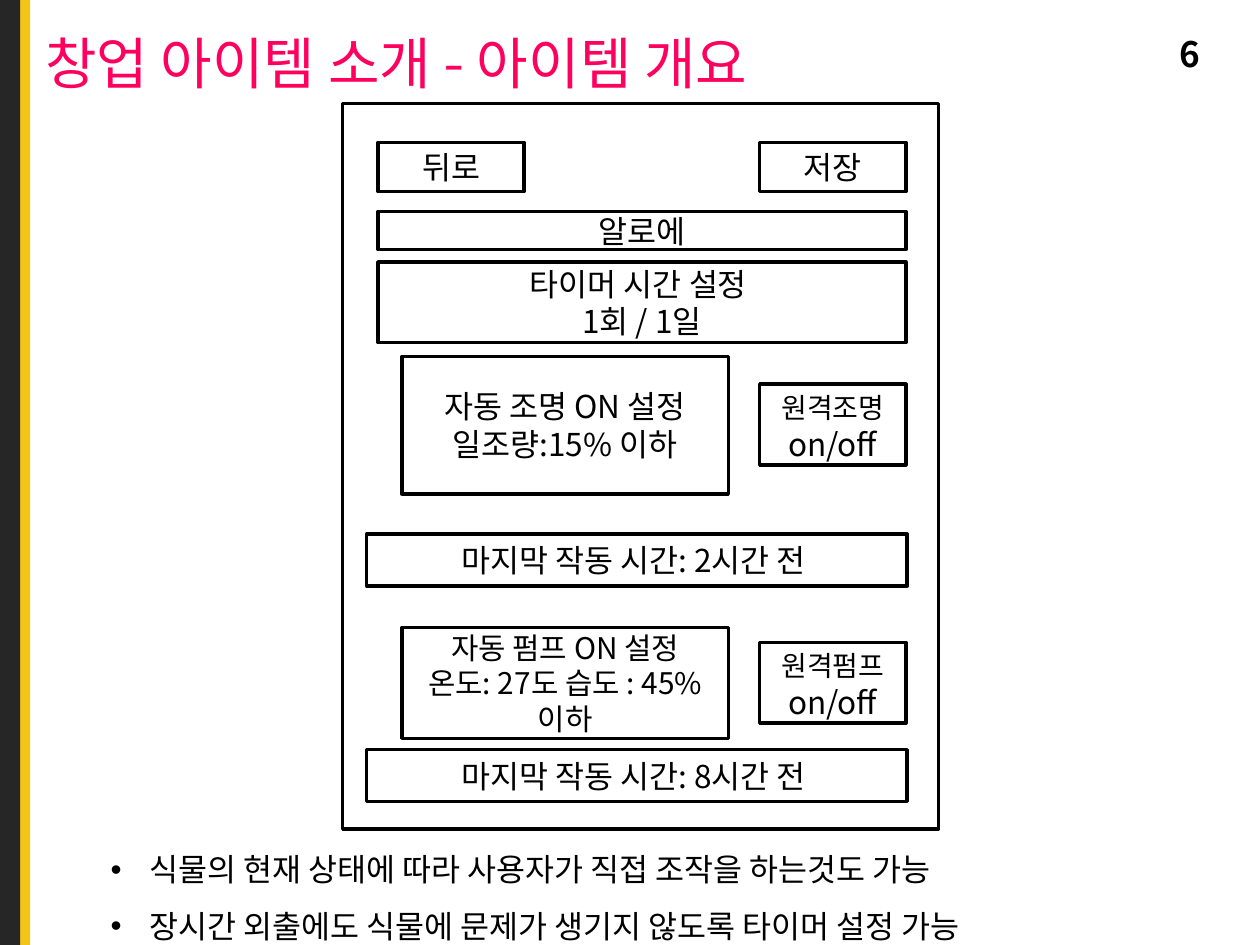
from lxml import etree
from pptx import Presentation
from pptx.dml.color import RGBColor
from pptx.enum.shapes import MSO_SHAPE
from pptx.enum.text import MSO_ANCHOR, PP_ALIGN
from pptx.oxml.ns import qn
from pptx.util import Inches, Pt

BLACK = RGBColor(0x00, 0x00, 0x00)
WHITE = RGBColor(0xFF, 0xFF, 0xFF)
PINK = RGBColor(0xFE, 0x00, 0x5E)
YELLOW = RGBColor(0xF4, 0xC4, 0x18)
CHARCOAL = RGBColor(0x26, 0x26, 0x26)
FONT = "Noto Sans CJK KR"


def write(tf, paragraphs, size=18, font=FONT, color=BLACK, bold=False,
          align=PP_ALIGN.LEFT, anchor=MSO_ANCHOR.TOP, wrap=True):
    """Each paragraph is a string or a list of (text, size) runs."""
    tf.word_wrap = wrap
    tf.vertical_anchor = anchor
    for i, runs in enumerate(paragraphs):
        p = tf.add_paragraph() if i else tf.paragraphs[0]
        p.alignment = align
        if isinstance(runs, str):
            runs = [(runs, size)]
        for text, run_size in runs:
            r = p.add_run()
            r.text = text
            r.font.size = Pt(run_size)
            r.font.name = font
            r.font.bold = bold
            r.font.color.rgb = color
            ea = etree.SubElement(r.font._element, qn("a:ea"))
            ea.set("typeface", FONT)


def add_box(x, y, w, h, fill=WHITE, outlined=True):
    sp = s.shapes.add_shape(MSO_SHAPE.RECTANGLE, Inches(x), Inches(y), Inches(w), Inches(h))
    sp.shadow.inherit = False
    sp.fill.solid()
    sp.fill.fore_color.rgb = fill
    if outlined:
        sp.line.color.rgb = BLACK
        sp.line.width = Pt(2)
    else:
        sp.line.fill.background()
    return sp


prs = Presentation()
prs.slide_width, prs.slide_height = Inches(10), Inches(7.5)
s = prs.slides.add_slide(prs.slide_layouts[5])

# Left edge stripes
add_box(0, 0, 0.24, 7.5, YELLOW, outlined=False)
add_box(0, 0, 0.16, 7.5, CHARCOAL, outlined=False)

# Title and page number
title = s.shapes.title
title.left, title.top = Inches(0.26), Inches(0.17)
title.width, title.height = Inches(9), Inches(0.64)
write(title.text_frame, ["창업 아이템 소개 - 아이템 개요"], size=32, font="Karla",
      color=PINK, anchor=MSO_ANCHOR.MIDDLE)

number = s.shapes.add_textbox(Inches(9.26), Inches(0.21), Inches(0.36), Inches(0.44))
write(number.text_frame, ["6"], size=20, bold=True, wrap=False)

# Notes under the app screen
notes = s.shapes.add_textbox(Inches(0.78), Inches(6.55), Inches(7.12), Inches(1.45))
write(notes.text_frame, ["식물의 현재 상태에 따라 사용자가 직접 조작을 하는것도 가능",
                         "장시간 외출에도 식물에 문제가 생기지 않도록 타이머 설정 가능"], wrap=False)
for p in notes.text_frame.paragraphs:
    p.line_spacing = 1.5
    pPr = p._p.get_or_add_pPr()
    pPr.set("marL", str(Inches(0.31)))
    pPr.set("indent", str(-Inches(0.31)))
    etree.SubElement(pPr, qn("a:buFont")).set("typeface", "Arial")
    etree.SubElement(pPr, qn("a:buChar")).set("char", "•")

# App screen: frame, then its controls
add_box(2.72, 0.82, 4.73, 5.76)

LEFT, RIGHT, STATUS, SETTING = 3, 6.03, 2.91, 3.19
BUTTON_W, WIDE_W, STATUS_W, SETTING_W = 1.16, 4.19, 4.29, 2.59
controls = [
    (LEFT, 1.13, BUTTON_W, 0.39, ["뒤로"], 18),
    (RIGHT, 1.13, BUTTON_W, 0.39, ["저장"], 18),
    (LEFT, 1.68, WIDE_W, 0.3, ["알로에"], 18),
    (LEFT, 2.08, WIDE_W, 0.64, ["타이머 시간 설정 ", "1회 / 1일"], 18),
    (SETTING, 2.83, SETTING_W, 1.09, ["자동 조명 ON 설정", "일조량:15% 이하"], 18),
    (RIGHT, 3.05, BUTTON_W, 0.64, [[("원격조명", 16), (" on/off", 18)]], 18),
    (STATUS, 4.24, STATUS_W, 0.41, ["마지막 작동 시간: 2시간 전 "], 18),
    (SETTING, 4.98, SETTING_W, 0.88, ["자동 펌프 ON 설정", "온도: 27도 습도 : 45% 이하"], 17),
    (RIGHT, 5.1, BUTTON_W, 0.64, [[("원격펌프", 16), (" on/off", 18)]], 18),
    (STATUS, 5.95, STATUS_W, 0.41, ["마지막 작동 시간: 8시간 전 "], 18),
]
for x, y, w, h, paragraphs, size in controls:
    sp = add_box(x, y, w, h)
    write(sp.text_frame, paragraphs, size=size, align=PP_ALIGN.CENTER, anchor=MSO_ANCHOR.MIDDLE)

prs.save("out.pptx")
